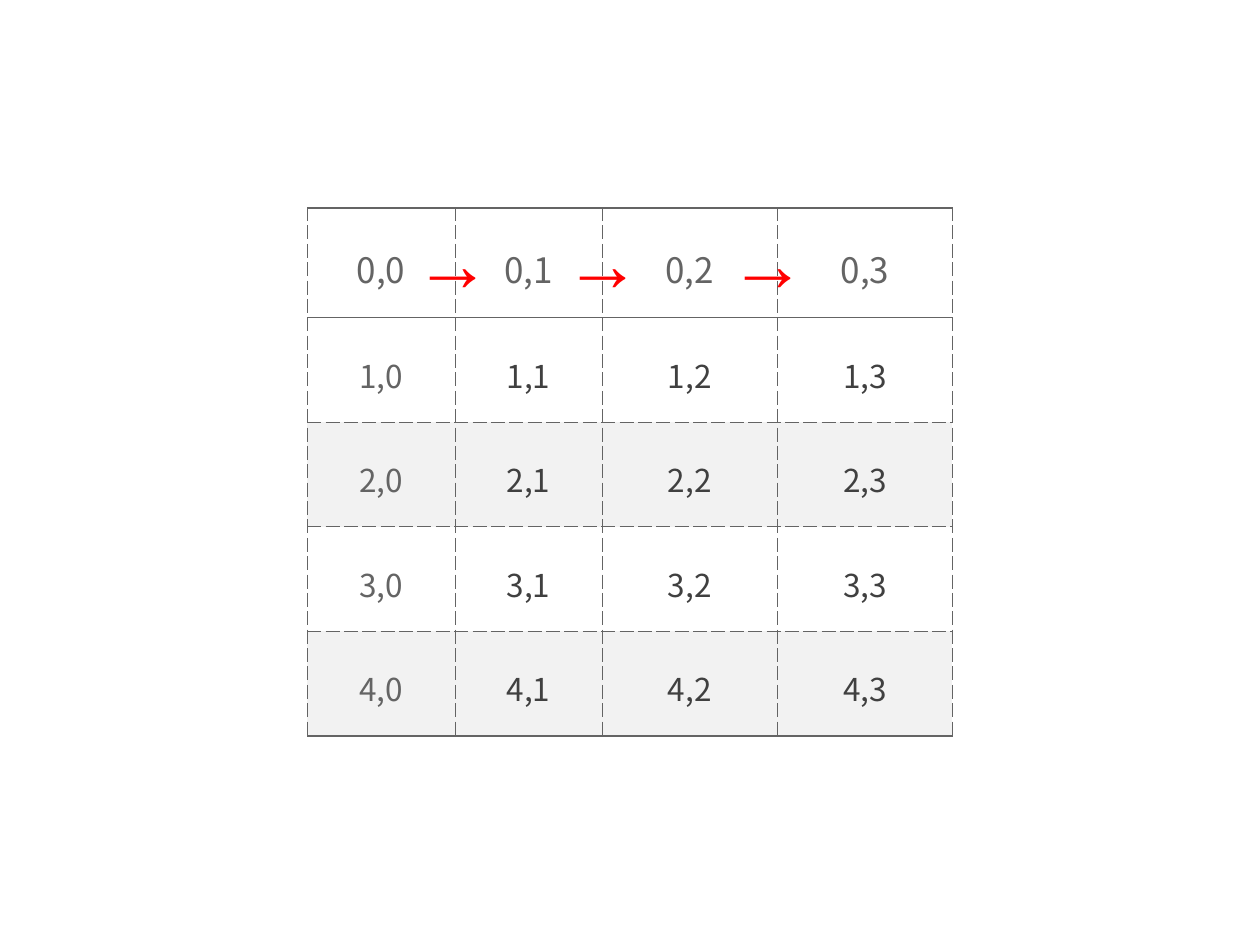
from lxml import etree
from pptx import Presentation
from pptx.dml.color import RGBColor
from pptx.enum.text import MSO_ANCHOR, MSO_AUTO_SIZE, PP_ALIGN
from pptx.oxml.ns import qn
from pptx.util import Inches, Pt

MIDDLE = MSO_ANCHOR.MIDDLE
CENTER = PP_ALIGN.CENTER
GROW = MSO_AUTO_SIZE.SHAPE_TO_FIT_TEXT
GREY, DARK, RED = "646464", "404040", "FF0000"
WHITE, BAND = "FFFFFF", "F2F2F2"
THIN, THICK = 0.34, 1.08


def color(value):
    return RGBColor.from_string(value)


def add_border(cell, side, width):
    properties = cell._tc.get_or_add_tcPr()
    line = etree.SubElement(properties, qn(f"a:ln{side}"), w=str(Pt(width)))
    fill = etree.SubElement(line, qn("a:solidFill"))
    etree.SubElement(fill, qn("a:srgbClr"), val=GREY)
    dash = "dash" if width == THIN else "solid"
    etree.SubElement(line, qn("a:prstDash"), val=dash)


prs = Presentation()
prs.slide_width, prs.slide_height = Inches(10), Inches(7.5)
slide = prs.slides.add_slide(prs.slide_layouts[6])

column_widths = [1.17, 1.17, 1.39, 1.39]
row_heights = [0.87, 0.83, 0.83, 0.83, 0.83]
last_row = len(row_heights) - 1
index_grid = slide.shapes.add_table(
    len(row_heights), len(column_widths), Inches(2.44), Inches(1.65),
    Inches(sum(column_widths)), Inches(sum(row_heights))).table

for column, width in zip(index_grid.columns, column_widths):
    column.width = Inches(width)

for i, height in enumerate(row_heights):
    index_grid.rows[i].height = Inches(height)
    for j in range(len(column_widths)):
        cell = index_grid.cell(i, j)
        cell.vertical_anchor = MIDDLE
        cell.margin_left = cell.margin_right = Inches(0.35)
        cell.margin_top = cell.margin_bottom = Inches(0.05)

        add_border(cell, "L", THIN)
        add_border(cell, "R", THIN)
        add_border(cell, "T", THICK if i <= 1 else THIN)
        add_border(cell, "B", THICK if i in (0, last_row) else THIN)
        cell.fill.solid()
        cell.fill.fore_color.rgb = color(BAND if i and i % 2 == 0 else WHITE)

        paragraph = cell.text_frame.paragraphs[0]
        paragraph.text = f"{i},{j}"
        paragraph.alignment = CENTER
        paragraph.line_spacing = 1.2
        font = paragraph.runs[0].font
        font.name = "Noto Sans CJK SC"
        font.size = Pt(20 if i == 0 else 18)
        font.bold = False
        font.color.rgb = color(GREY if i == 0 or j == 0 else DARK)

for left in (3.19, 4.38, 5.69):
    arrow = slide.shapes.add_textbox(
        Inches(left), Inches(1.65), Inches(0.84), Inches(0.84))
    arrow.text_frame.word_wrap = True
    arrow.text_frame.auto_size = GROW
    arrow.text_frame.text = "→"
    font = arrow.text_frame.paragraphs[0].runs[0].font
    font.name = "Arial"
    font.size = Pt(44)
    font.bold = True
    font.color.rgb = color(RED)

prs.save("out.pptx")
